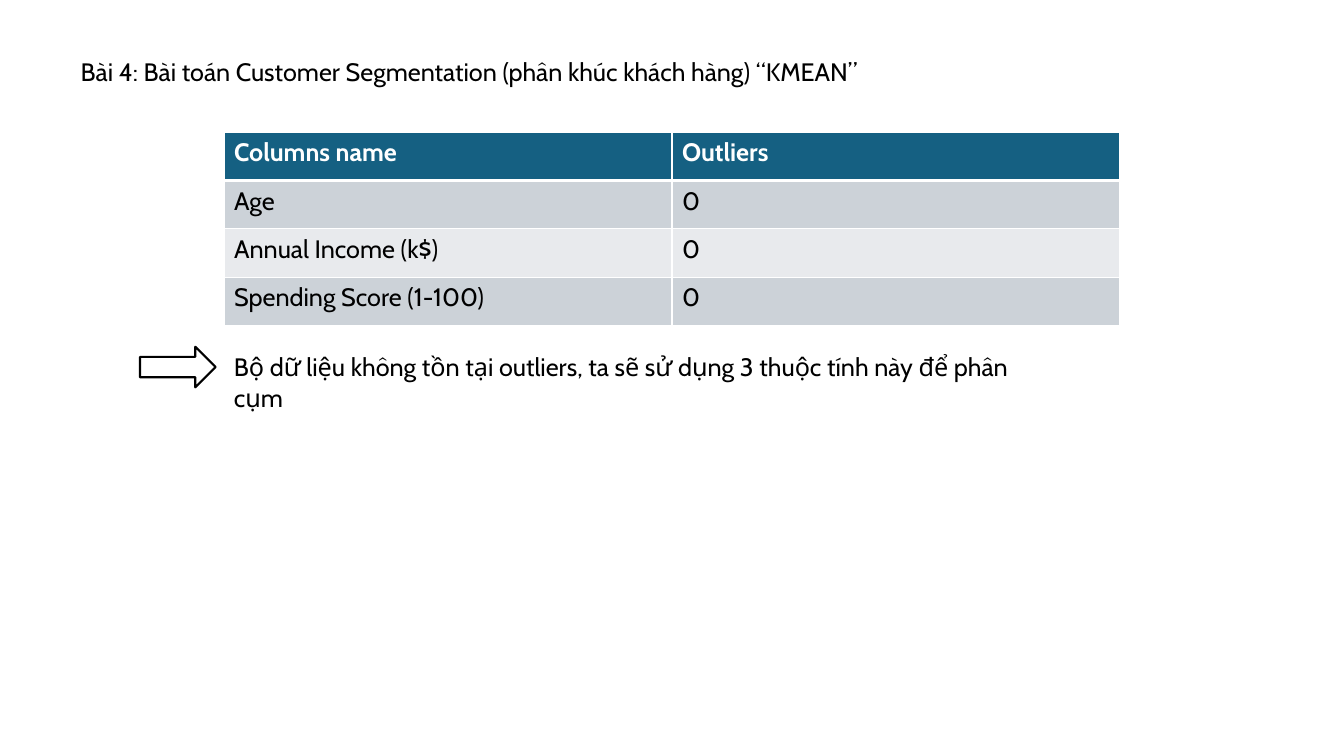
from lxml.etree import SubElement
from pptx import Presentation
from pptx.dml.color import RGBColor
from pptx.enum.shapes import MSO_SHAPE as Shape
from pptx.enum.text import MSO_ANCHOR as Anchor, MSO_AUTO_SIZE as Fit, PP_ALIGN as Align
from pptx.oxml.ns import qn
from pptx.util import Pt

BLACK = RGBColor(0x00, 0x00, 0x00)
WHITE = RGBColor(0xFF, 0xFF, 0xFF)
TEAL = RGBColor(0x15, 0x60, 0x82)
GREY = RGBColor(0xCC, 0xD2, 0xD8)
PALE = RGBColor(0xE8, 0xEA, 0xED)


class Page:
    font, size = "Cabin", Pt(18)

    def __init__(self, deck):
        self.slide = deck.slides.add_slide(deck.slide_layouts[5])
        self.shapes = self.slide.shapes

    def label(self, frame, text, color=BLACK, bold=False):
        frame.text = text
        para = frame.paragraphs[0]
        para.alignment = Align.LEFT
        font = para.font
        font.name, font.size, font.bold = self.font, self.size, bold
        font.color.rgb = color

    def title(self, text, left, top, width, height):
        box = self.shapes.title
        box.left, box.top, box.width, box.height = Pt(left), Pt(top), Pt(width), Pt(height)
        self.fill_box(box.text_frame, text, False)

    def text(self, text, left, top, width, height):
        box = self.shapes.add_textbox(Pt(left), Pt(top), Pt(width), Pt(height))
        self.fill_box(box.text_frame, text, True)

    def fill_box(self, frame, text, wrap):
        self.label(frame, text)
        frame.word_wrap = wrap
        frame.auto_size = Fit.SHAPE_TO_FIT_TEXT
        frame.vertical_anchor = Anchor.TOP

    def arrow(self, left, top, width, height):
        arrow = self.shapes.add_shape(Shape.RIGHT_ARROW, Pt(left), Pt(top), Pt(width), Pt(height))
        arrow.shadow.inherit = False
        arrow.fill.solid()
        arrow.fill.fore_color.rgb = WHITE
        arrow.line.color.rgb = BLACK
        arrow.line.width = Pt(1.5)

    def border(self, cell, head, below):
        # Borders come before the fill in the cell properties
        props = cell._tc.get_or_add_tcPr()
        for side in ("L", "R", "T", "B"):
            thick = (head and side == "B") or (below and side == "T")
            line = SubElement(props, qn(f"a:ln{side}"), w=str(Pt(3 if thick else 1)))
            fill = SubElement(line, qn("a:solidFill"))
            SubElement(fill, qn("a:srgbClr"), val=str(WHITE))

    def table(self, rows, left, top, width, height):
        frame = self.shapes.add_table(len(rows), len(rows[0]), Pt(left), Pt(top), Pt(width), Pt(height))
        for r, row in enumerate(rows):
            head = r == 0
            shade = TEAL if head else (GREY if r % 2 else PALE)
            for c, text in enumerate(row):
                cell = frame.table.cell(r, c)
                self.label(cell.text_frame, text, WHITE if head else BLACK, head)
                self.border(cell, head, r == 1)
                cell.fill.solid()
                cell.fill.fore_color.rgb = shade


def main():
    deck = Presentation()
    deck.slide_width, deck.slide_height = Pt(960), Pt(540)
    page = Page(deck)

    # Heading
    page.title("Bài 4: Bài toán Customer Segmentation (phân khúc khách hàng) “KMEAN”",
               50.4, 36.7, 591, 29)

    # Outlier counts
    page.table([
        ("Columns name", "Outliers"),
        ("Age", "0"),
        ("Annual Income (k$)", "0"),
        ("Spending Score (1-100)", "0"),
    ], 160, 94.5, 640, 138)

    # Conclusion
    page.text("Bộ dữ liệu không tồn tại outliers, ta sẽ sử dụng 3 thuộc tính này để phân cụm",
              160, 247.7, 606, 29)
    page.arrow(100, 247.7, 54, 29)

    deck.save("out.pptx")


if __name__ == "__main__":
    main()
